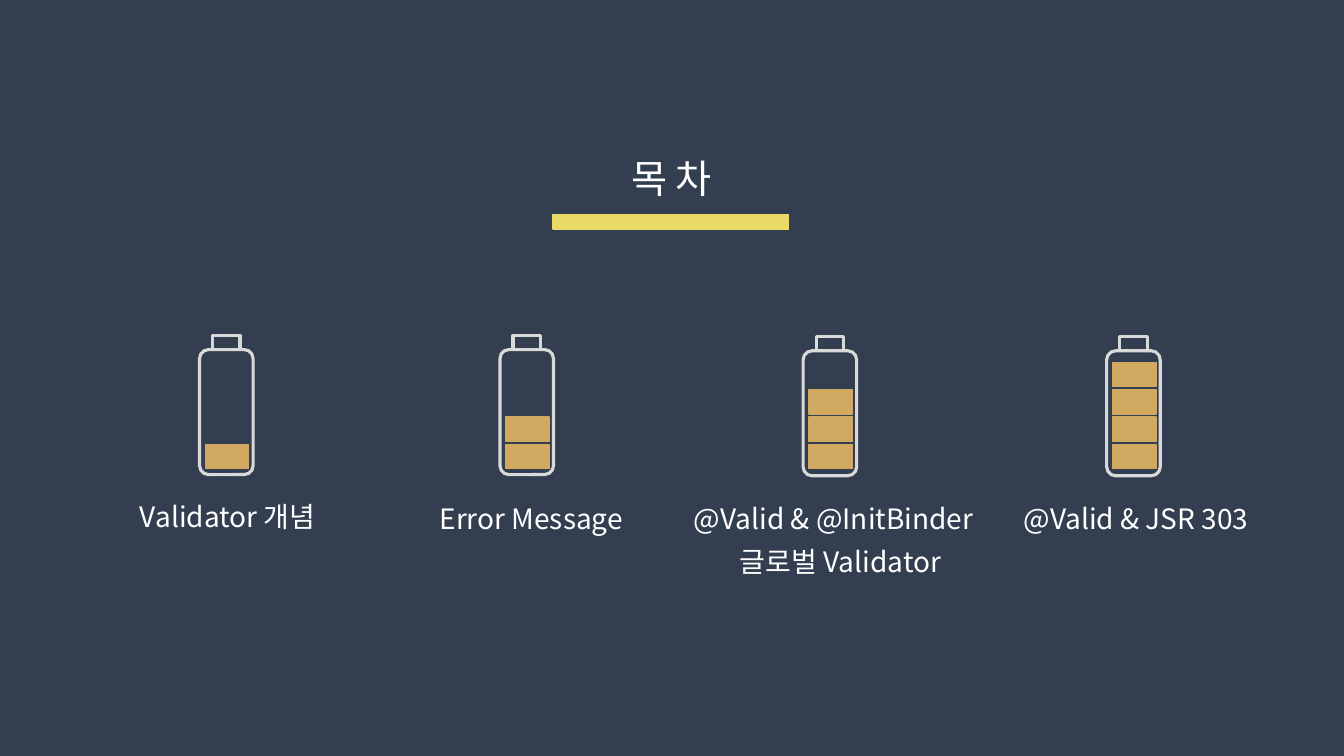
"""Build the contents slide with four batteries that charge up by chapter."""
from dataclasses import dataclass

from lxml import etree
from pptx import Presentation
from pptx import util as u
from pptx.dml import color
from pptx.enum import shapes, text
from pptx.oxml import ns

COLOURS = {
    "background": "333F50",
    "accent": "E8DA64",
    "outline": "D9D9D9",
    "charge": "D1A960",
    "text": "FFFFFF",
}
FONT = "Noto Sans CJK KR"
FRAME_FORMAT = {
    "word_wrap": True,
    "auto_size": text.MSO_AUTO_SIZE.SHAPE_TO_FIT_TEXT,
    "vertical_anchor": text.MSO_ANCHOR.TOP,
}
PARAGRAPH_FORMAT = {"alignment": text.PP_ALIGN.CENTER, "space_before": u.Pt(0)}
RECTANGLE = shapes.MSO_SHAPE.RECTANGLE
ROUNDED = shapes.MSO_SHAPE.ROUNDED_RECTANGLE
LABEL_WIDTH, LABEL_HEIGHT = 7.62, 1.12
CELL_TOP, CELL_STEP = 11.2, 0.69


@dataclass(frozen=True)
class Area:
    """Place and size in centimetres."""

    left: float
    top: float
    width: float
    height: float

    def lengths(self) -> tuple:
        """Return the four values as lengths."""
        return tuple(map(u.Cm, (self.left, self.top, self.width, self.height)))


@dataclass(frozen=True)
class Label:
    """Caption with its top left corner in centimetres."""

    wording: str
    left: float
    top: float


@dataclass(frozen=True)
class Battery:
    """Battery body corner in centimetres and number of charged cells."""

    left: float
    top: float
    cells: int


LABELS = (
    Label("Validator 개념", 1.93, 12.47),
    Label("Error Message", 9.58, 12.5),
    Label("@Valid & @InitBinder", 17.2, 12.5),
    Label("@Valid & JSR 303", 24.82, 12.5),
    Label("글로벌 Validator", 17.37, 13.59),
)
BATTERIES = (
    Battery(5.03, 8.81, 1),
    Battery(12.6, 8.81, 2),
    Battery(20.24, 8.84, 3),
    Battery(27.89, 8.84, 4),
)


def rgb(name: str) -> color.RGBColor:
    """Look up a named colour."""
    return color.RGBColor.from_string(COLOURS[name])


def apply_format(target, values: dict) -> None:
    """Set each format value on the target."""
    for name, value in values.items():
        setattr(target, name, value)


def write(box, wording: str, size: float) -> None:
    """Fill a box with one centred line of text."""
    apply_format(box.text_frame, FRAME_FORMAT)
    para = box.text_frame.paragraphs[0]
    apply_format(para, PARAGRAPH_FORMAT)
    span = para.add_run()
    span.text = wording
    apply_format(span.font, {"name": FONT, "size": u.Pt(size)})
    span.font.color.rgb = rgb("text")
    properties = span._r.get_or_add_rPr()
    etree.SubElement(properties, ns.qn("a:ea")).set("typeface", FONT)


def draw_shape(page, kind, area: Area, line: str, weight: float, filled: bool) -> None:
    """Draw an outlined shape, filled in its line colour if asked."""
    shape = page.shapes.add_shape(kind, *area.lengths())
    shape.shadow.inherit = False
    shape.line.color.rgb = rgb(line)
    shape.line.width = u.Pt(weight)
    if filled:
        shape.fill.solid()
        shape.fill.fore_color.rgb = rgb(line)
    else:
        shape.fill.background()


def draw_battery(page, battery: Battery) -> None:
    """Draw the body, the cap and the charged cells from the bottom up."""
    body = Area(battery.left, battery.top, 1.35, 3.15)
    cap = Area(battery.left + 0.33, battery.top - 0.36, 0.69, 0.36)
    draw_shape(page, ROUNDED, body, "outline", 2.25, False)
    draw_shape(page, RECTANGLE, cap, "outline", 2.25, False)
    for level in range(battery.cells):
        cell = Area(battery.left + 0.15, CELL_TOP - level * CELL_STEP, 1.09, 0.61)
        draw_shape(page, RECTANGLE, cell, "charge", 1, True)


def draw_label(page, label: Label) -> None:
    """Add a caption."""
    area = Area(label.left, label.top, LABEL_WIDTH, LABEL_HEIGHT)
    write(page.shapes.add_textbox(*area.lengths()), label.wording, 20)


def draw_title(page) -> None:
    """Place the title and the bar under it."""
    title = page.shapes.title
    places = Area(13.11, 3.76, 7.62, 1.45).lengths()
    apply_format(title, dict(zip(("left", "top", "width", "height"), places)))
    write(title, "목 차", 28)
    draw_shape(page, RECTANGLE, Area(13.94, 5.41, 5.94, 0.36), "accent", 1, True)


def main() -> None:
    """Create the deck and save it."""
    deck = Presentation()
    apply_format(deck, {"slide_width": u.Cm(33.87), "slide_height": u.Cm(19.05)})
    page = deck.slides.add_slide(deck.slide_layouts.get_by_name("Title Only"))
    page.background.fill.solid()
    page.background.fill.fore_color.rgb = rgb("background")
    draw_title(page)
    for label in LABELS:
        draw_label(page, label)
    for battery in BATTERIES:
        draw_battery(page, battery)
    deck.save("out.pptx")


if __name__ == "__main__":
    main()
